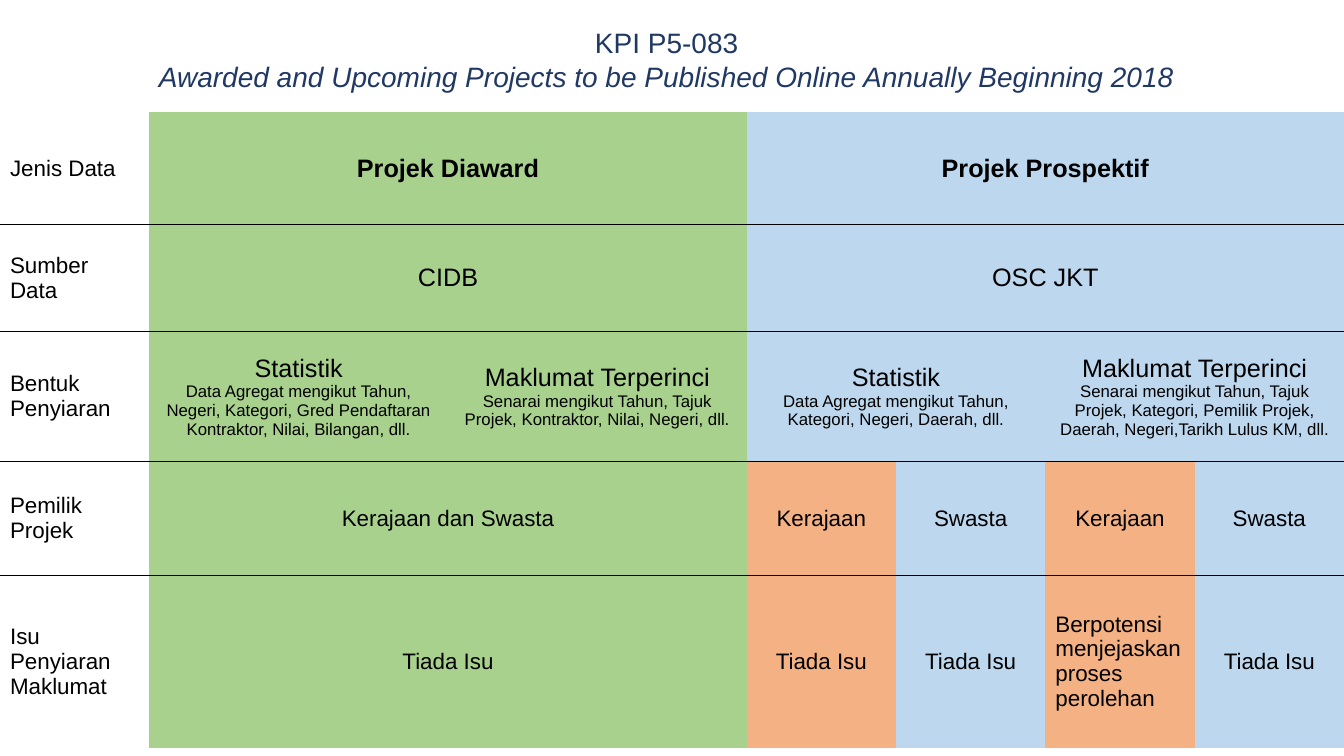
import pptx
import pptx.dml.color
import pptx.enum.text
import pptx.oxml
import pptx.oxml.ns
import pptx.util

WIDTH, HEIGHT = pptx.util.Inches(13.33), pptx.util.Inches(7.5)
COLOURS = {
    "white": "FFFFFF",
    "black": "000000",
    "navy": "203864",
    "awarded": "A9D18E",
    "prospective": "BDD7EE",
    "government": "F4B183",
}
COLUMN_SHARES = [1, 2, 2, 1, 1, 1, 1]
ROW_INCHES = [1.12, 1.06, 1.29, 1.13, 1.71]
TABLE_TOP = 1.11
PLAIN_STYLE = "{2D5ABB26-0587-4C30-8999-92F81FD0307C}"
LEFT = pptx.enum.text.PP_ALIGN.LEFT
CENTER = pptx.enum.text.PP_ALIGN.CENTER


def colour(name):
    """Return the named colour."""
    return pptx.dml.color.RGBColor.from_string(COLOURS[name])


def write_lines(frame, lines, align, ink="black"):
    """Write each (text, size, style) line as a paragraph of one run."""
    for index, (text, size, style) in enumerate(lines):
        para = frame.add_paragraph() if index else frame.paragraphs[0]
        para.alignment = align
        span = para.add_run()
        span.text = text
        span.font.name = "Arial"
        span.font.size = pptx.util.Pt(size)
        span.font.bold = style == "bold"
        span.font.italic = style == "italic"
        span.font.color.rgb = colour(ink)


def plain(*texts, size=16, style=""):
    """Return lines that share one size and style."""
    return [(text, size, style) for text in texts]


def detail(heading, body):
    """Return a heading line with a smaller explanation below."""
    return plain(heading, size=18) + plain(body, size=12)


def label(*texts):
    """Return the entry that names a row."""
    return 1, "white", plain(*texts), LEFT


def entry(columns, fill, lines, align=CENTER):
    """Return an entry covering a number of table columns."""
    return columns, fill, lines, align


def rule_below(cell):
    """Draw a black line along the bottom of a cell."""
    line = pptx.oxml.parse_xml(
        f'<a:lnB {pptx.oxml.ns.nsdecls("a")} w="12700"><a:solidFill>'
        f'<a:srgbClr val="{COLOURS["black"]}"/></a:solidFill></a:lnB>'
    )
    cell._tc.get_or_add_tcPr().insert(0, line)


def add_title(page, lines):
    """Place and format the title across the top of the page."""
    box = page.shapes.title
    box.left, box.top = int(WIDTH * 0.1), int(HEIGHT * 0.027)
    box.width, box.height = int(WIDTH * 0.792), int(HEIGHT * 0.103)
    frame = box.text_frame
    frame.auto_size = pptx.enum.text.MSO_AUTO_SIZE.NONE
    frame.word_wrap = False
    frame.vertical_anchor = pptx.enum.text.MSO_ANCHOR.MIDDLE
    write_lines(frame, lines, CENTER, "navy")


def add_matrix(page, rows):
    """Add the full-width table with merged entries and ruled rows."""
    frame = page.shapes.add_table(
        len(rows), len(COLUMN_SHARES), 0, pptx.util.Inches(TABLE_TOP),
        WIDTH, pptx.util.Inches(sum(ROW_INCHES)),
    )
    table = frame.table
    table.first_row = table.horz_banding = False
    table._tbl.tblPr.find(pptx.oxml.ns.qn("a:tableStyleId")).text = PLAIN_STYLE
    for column, share in zip(table.columns, COLUMN_SHARES):
        column.width = WIDTH * share // sum(COLUMN_SHARES)
    for row, inches in zip(table.rows, ROW_INCHES):
        row.height = pptx.util.Inches(inches)
    for row_index, entries in enumerate(rows):
        start = 0
        for columns, fill, lines, align in entries:
            cell = table.cell(row_index, start)
            if columns > 1:
                cell.merge(table.cell(row_index, start + columns - 1))
            cell.vertical_anchor = pptx.enum.text.MSO_ANCHOR.MIDDLE
            write_lines(cell.text_frame, lines, align)
            for position in range(start, start + columns):
                part = table.cell(row_index, position)
                part.fill.solid()
                part.fill.fore_color.rgb = colour(fill)
                if row_index < len(rows) - 1:
                    rule_below(part)
            start += columns


def main():
    """Build the slide and save it."""
    deck = pptx.Presentation()
    deck.slide_width, deck.slide_height = WIDTH, HEIGHT
    page = deck.slides.add_slide(deck.slide_layouts[5])
    add_title(page, [
        ("KPI P5-083", 20, ""),
        ("Awarded and Upcoming Projects to be Published Online Annually "
         "Beginning 2018", 20, "italic"),
    ])
    owners = [
        entry(1, "government", plain("Kerajaan")),
        entry(1, "prospective", plain("Swasta")),
    ]
    no_issue = plain("Tiada Isu")
    add_matrix(page, [
        [
            label("Jenis Data"),
            entry(2, "awarded", plain("Projek Diaward", size=18, style="bold")),
            entry(4, "prospective",
                  plain("Projek Prospektif", size=18, style="bold")),
        ],
        [
            label("Sumber Data"),
            entry(2, "awarded", plain("CIDB", size=18)),
            entry(4, "prospective", plain("OSC JKT", size=18)),
        ],
        [
            label("Bentuk Penyiaran"),
            entry(1, "awarded", detail(
                "Statistik",
                "Data Agregat mengikut Tahun, Negeri, Kategori, Gred "
                "Pendaftaran Kontraktor, Nilai, Bilangan, dll.")),
            entry(1, "awarded", detail(
                "Maklumat Terperinci",
                "Senarai mengikut Tahun, Tajuk Projek, Kontraktor, Nilai, "
                "Negeri, dll.")),
            entry(2, "prospective", detail(
                "Statistik",
                "Data Agregat mengikut Tahun, Kategori, Negeri, Daerah, dll.")),
            entry(2, "prospective", detail(
                "Maklumat Terperinci",
                "Senarai mengikut Tahun, Tajuk Projek, Kategori, Pemilik "
                "Projek, Daerah, Negeri,Tarikh Lulus KM, dll.")),
        ],
        [
            label("Pemilik", "Projek"),
            entry(2, "awarded", plain("Kerajaan dan Swasta")),
            *owners * 2,
        ],
        [
            label("Isu Penyiaran Maklumat"),
            entry(2, "awarded", no_issue),
            entry(1, "government", no_issue),
            entry(1, "prospective", no_issue),
            entry(1, "government",
                  plain("Berpotensi menjejaskan proses perolehan"), LEFT),
            entry(1, "prospective", no_issue),
        ],
    ])
    deck.save("out.pptx")


if __name__ == "__main__":
    main()
